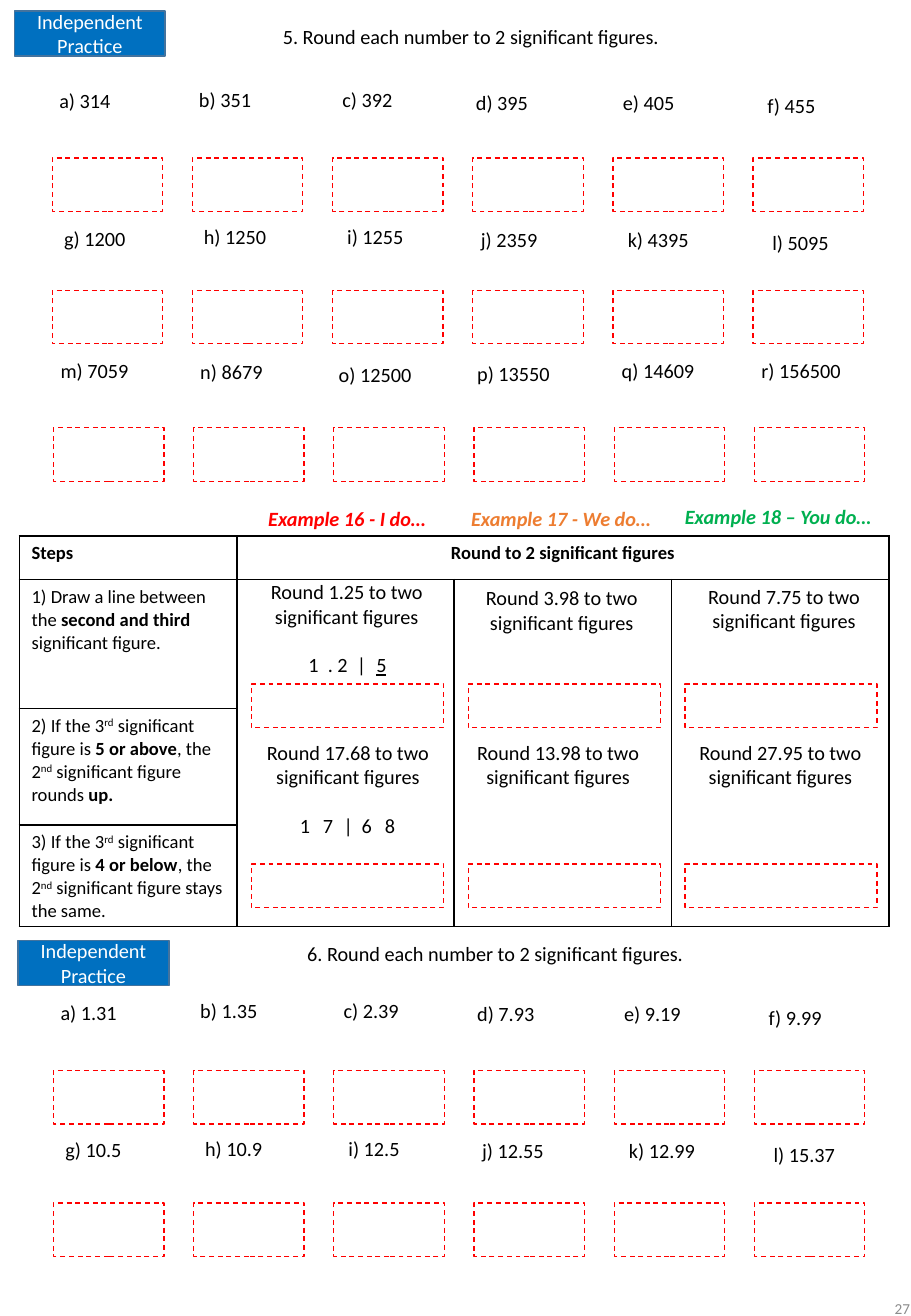
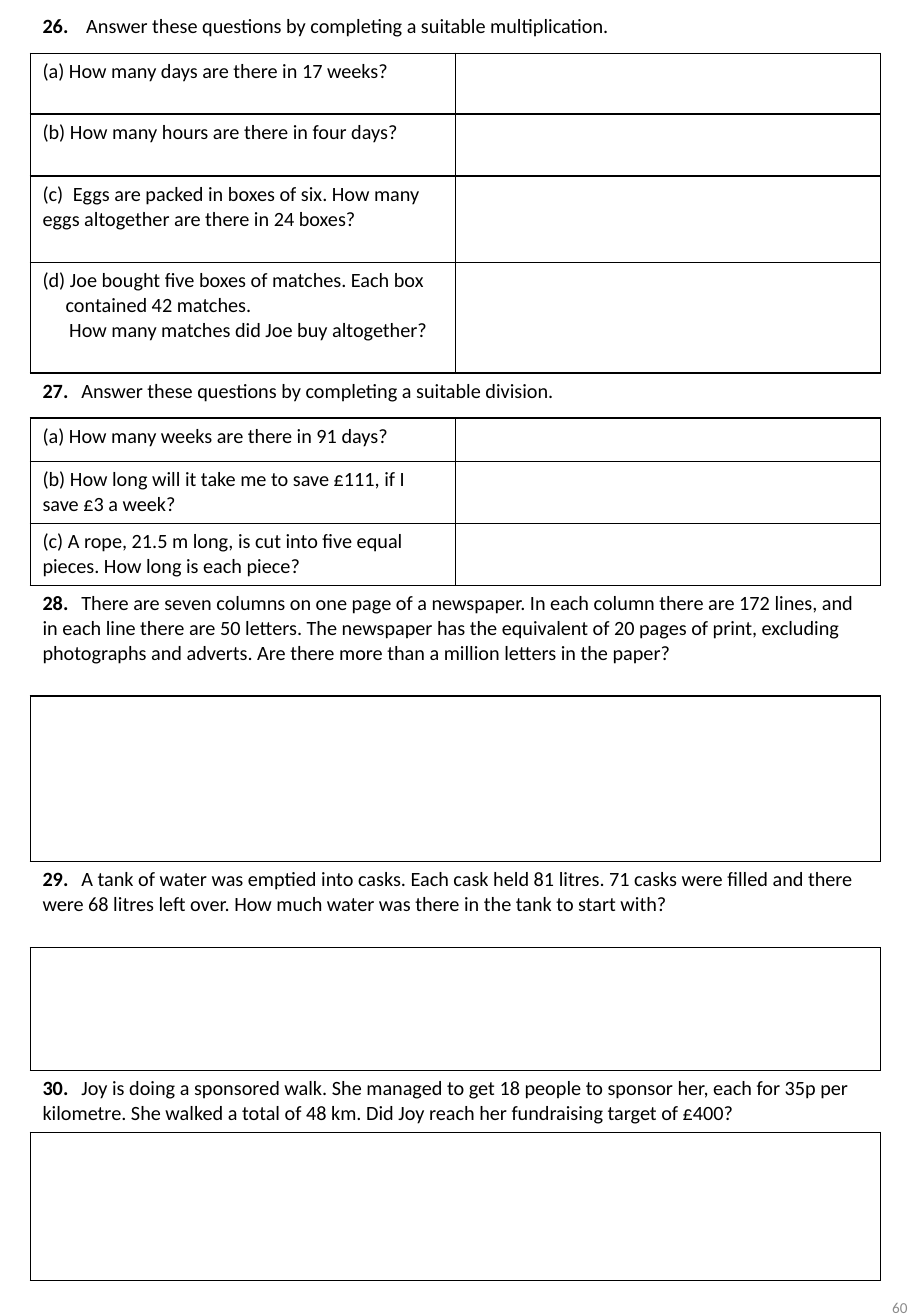
from lxml import etree
from pptx import Presentation
from pptx.dml.color import RGBColor
from pptx.enum.dml import MSO_LINE
from pptx.enum.shapes import MSO_SHAPE
from pptx.enum.text import MSO_ANCHOR, PP_ALIGN
from pptx.oxml.ns import qn
from pptx.util import Inches, Pt

LEFT, CENTER, RIGHT = PP_ALIGN.LEFT, PP_ALIGN.CENTER, PP_ALIGN.RIGHT
TOP, MIDDLE = MSO_ANCHOR.TOP, MSO_ANCHOR.MIDDLE
RECTANGLE, DASH = MSO_SHAPE.RECTANGLE, MSO_LINE.DASH

FONT = "Calibri"
COLORS = {
    "text": "000000", "paper": "FFFFFF", "answer": "FF0000", "badge": "0070C0",
    "badge_line": "43739E", "i_do": "FF0000", "we_do": "ED7D31", "you_do": "00B050",
    "page": "8C8C8C",
}

# Answer boxes stand six to a row at equal gaps
BOX_WIDTH, BOX_HEIGHT, BOX_PITCH = 0.91, 0.44, 5.77 / 5
# (left, drop) of each question label in a row
LABEL_SPOTS = [(0.39, 0.01), (1.54, 0), (2.72, 0), (3.82, 0.02), (5.03, 0.02), (6.22, 0.05)]
LONG_LABEL_SPOTS = [(0.4, 0), (1.55, 0.01), (2.69, 0.03), (3.83, 0.02), (5.02, 0), (6.17, 0)]

# Label spots, shift to the right, label top, box left, box top, questions
ROUND_WHOLE = [
    (LABEL_SPOTS, 0, 0.67, 0.43, 1.3,
     ["a) 314", "b) 351", "c) 392", "d) 395", "e) 405", "f) 455"]),
    (LABEL_SPOTS, 0.04, 1.8, 0.43, 2.39,
     ["g) 1200", "h) 1250", "i) 1255", "j) 2359", "k) 4395", "l) 5095"]),
    (LONG_LABEL_SPOTS, 0, 2.9, 0.44, 3.52,
     ["m) 7059", "n) 8679", "o) 12500", "p) 13550", "q) 14609", "r) 156500"]),
]
ROUND_DECIMAL = [
    (LABEL_SPOTS, 0.01, 8.17, 0.44, 8.81,
     ["a) 1.31", "b) 1.35", "c) 2.39", "d) 7.93", "e) 9.19", "f) 9.99"]),
    (LABEL_SPOTS, 0.05, 9.3, 0.44, 9.9,
     ["g) 10.5", "h) 10.9", "i) 12.5", "j) 12.55", "k) 12.99", "l) 15.37"]),
]

# Runs are (text, style): b bold, u underlined, sup superscript
STEPS = [
    [("1) Draw a line between the ", ""), ("second and third ", "b"),
     ("significant figure.", "")],
    [("2) If the 3", ""), ("rd", "sup"), (" significant figure is ", ""),
     ("5 or above", "b"), (", the 2", ""), ("nd", "sup"),
     (" significant figure rounds ", ""), ("up.", "b")],
    [("3) If the 3", ""), ("rd", "sup"), (" significant figure is ", ""),
     ("4 or below", "b"), (", the 2", ""), ("nd", "sup"),
     (" significant figure stays the same.", "")],
]
EXAMPLE_TITLES = [
    ("Example 16 - I do…", "i_do", 2.11, 4.12, 1.54),
    ("Example 17 - We do…", "we_do", 3.78, 4.12, 1.82),
    ("Example 18 – You do…", "you_do", 5.54, 4.1, 1.8),
]
# Number, left, top, width, height of each example
EXAMPLES = [
    ("1.25", 2.08, 4.72, 1.55, 1.51), ("17.68", 2, 6.04, 1.73, 1.51),
    ("3.98", 3.85, 4.77, 1.55, 0.91), ("13.98", 3.82, 6.04, 1.55, 1.11),
    ("7.75", 5.68, 4.76, 1.55, 1.11), ("27.95", 5.6, 6.04, 1.65, 1.11),
]
# Digits of the worked examples, with the tab stops that set them apart
WORKINGS = {
    "1.25": ([("\t1\t. 2\t|\t", ""), ("5", "u")], [0.36, 0.52, 0.76, 0.92]),
    "17.68": ([("\t1\t7\t|\t6\t8", "")], [0.37, 0.56, 0.73, 0.88, 1.07]),
}

# Row height and content: a numbered heading, a question with a cell for its
# answer, or an open answer space
HEADING, QUESTION, SPACE = "heading", "question", "space"
WORD_PROBLEMS = [
    (0.37, HEADING, ("26.", "Answer these questions by completing a suitable multiplication.")),
    (0.5, QUESTION, "(a) How many days are there in 17 weeks?"),
    (0.51, QUESTION, "(b) How many hours are there in four days?"),
    (0.71, QUESTION, "(c)\tEggs are packed in boxes of six. How many eggs altogether "
                     "are there in 24 boxes?"),
    (0.91, QUESTION, "(d) Joe bought five boxes of matches. Each box contained 42 matches."),
    (0.37, HEADING, ("27.", "Answer these questions by completing a suitable division.")),
    (0.36, QUESTION, "(a) How many weeks are there in 91 days?"),
    (0.51, QUESTION, "(b) How long will it take me to save £111, if I save £3 a week?"),
    (0.51, QUESTION, "(c) A rope, 21.5 m long, is cut into five equal pieces. "
                     "How long is each piece?"),
    (0.91, HEADING, ("28.", "There are seven columns on one page of a newspaper. In each "
                     "column there are 172 lines, and in each line there are 50 letters. "
                     "The newspaper has the equivalent of 20 pages of print, excluding "
                     "photographs and adverts. Are there more than a million letters in "
                     "the paper?")),
    (1.36, SPACE, None),
    (0.71, HEADING, ("29.", "A tank of water was emptied into casks. Each cask held 81 "
                     "litres. 71 casks were filled and there were 68 litres left over. "
                     "How much water was there in the tank to start with?")),
    (1.01, SPACE, None),
    (0.51, HEADING, ("30.", "Joy is doing a sponsored walk. She managed to get 18 people to "
                     "sponsor her, each for 35p per kilometre. She walked a total of 48 km. "
                     "Did Joy reach her fundraising target of £400?")),
    (1.22, SPACE, None),
]
JOE_ROW = 4
JOE_QUESTION = "How many matches did Joe buy altogether?"


def rgb(name):
    return RGBColor.from_string(COLORS[name])


def write(paragraph, content, size=12, color="text", align=LEFT, bold=None,
          italic=None, tabs=(), indent=0, hanging=0):
    """Fill a paragraph with a string or with (text, style) runs."""
    properties = paragraph._p.get_or_add_pPr()
    if indent:
        properties.set("marL", str(Inches(indent)))
        properties.set("indent", str(-Inches(hanging)))
    if tabs:
        tab_list = etree.SubElement(properties, qn("a:tabLst"))
        for stop in tabs:
            etree.SubElement(tab_list, qn("a:tab"), pos=str(Inches(stop)), algn="l")
    paragraph.alignment = align
    font = paragraph.font
    font.name, font.size, font.bold, font.italic = FONT, Pt(size), bold, italic
    font.color.rgb = rgb(color)
    for text, style in [(content, "")] if isinstance(content, str) else content:
        run = paragraph.add_run()
        run.text = text
        if style == "b":
            run.font.bold = True
        elif style == "u":
            run.font.underline = True
        elif style == "sup":
            run._r.get_or_add_rPr().set("baseline", "30000")


def add_text(slide, left, top, width, height, content, wrap=True, anchor=TOP, **style):
    box = slide.shapes.add_textbox(Inches(left), Inches(top), Inches(width), Inches(height))
    frame = box.text_frame
    frame.word_wrap = wrap
    frame.vertical_anchor = anchor
    write(frame.paragraphs[0], content, **style)
    return frame


def add_rectangle(slide, left, top, width, height, fill, line, weight):
    shape = slide.shapes.add_shape(
        RECTANGLE, Inches(left), Inches(top), Inches(width), Inches(height))
    shape.shadow.inherit = False
    shape.fill.solid()
    shape.fill.fore_color.rgb = rgb(fill)
    shape.line.color.rgb = rgb(line)
    shape.line.width = Pt(weight)
    return shape


def add_answer_box(slide, left, top, width, height):
    box = add_rectangle(slide, left, top, width, height, "paper", "answer", 0.75)
    box.line.dash_style = DASH


def add_badge(slide, left, top):
    badge = add_rectangle(slide, left, top, 1.24, 0.37, "badge", "badge_line", 1)
    frame = badge.text_frame
    frame.word_wrap = True
    frame.vertical_anchor = MIDDLE
    write(frame.paragraphs[0], "Independent Practice", color="paper", align=CENTER)


def add_page_number(slide, left, top, number):
    add_text(slide, left, top, 1.69, 0.58, number, anchor=MIDDLE,
             size=9, color="page", align=RIGHT)


def add_practice(slide, title, title_left, title_top, rows):
    """Title above rows of question labels and their answer boxes."""
    add_text(slide, title_left, title_top, 3.38, 0.3, title, wrap=False)
    for spots, shift, label_top, box_left, box_top, questions in rows:
        for column, (question, (left, drop)) in enumerate(zip(questions, spots)):
            add_text(slide, left + shift, label_top + drop, 0.25 + 0.08 * len(question),
                     0.3, question)
            add_answer_box(slide, box_left + column * BOX_PITCH, box_top,
                           BOX_WIDTH, BOX_HEIGHT)


def add_grid(slide, left, top, widths, heights):
    """Table without the banded style."""
    table = slide.shapes.add_table(
        len(heights), len(widths), Inches(left), Inches(top),
        Inches(sum(widths)), Inches(sum(heights))).table
    table.first_row = table.horz_banding = False
    for column, width in zip(table.columns, widths):
        column.width = Inches(width)
    for row, height in zip(table.rows, heights):
        row.height = Inches(height)
    return table


def finish_cell(cell, sides="LRTB", fill=None):
    """Rule the given sides, fill the cell and let an empty cell stay low."""
    properties = cell._tc.get_or_add_tcPr()
    for side in "LRTB":
        line = etree.SubElement(properties, qn(f"a:ln{side}"), w=str(Pt(1)))
        if side in sides:
            solid = etree.SubElement(line, qn("a:solidFill"))
            etree.SubElement(solid, qn("a:srgbClr"), val=COLORS["text"])
        else:
            etree.SubElement(line, qn("a:noFill"))
    if fill:
        cell.fill.solid()
        cell.fill.fore_color.rgb = rgb(fill)
    else:
        cell.fill.background()
    if not cell.text_frame.text:
        cell.margin_top = cell.margin_bottom = 0


def add_steps_table(slide):
    table = add_grid(slide, 0.16, 4.41, [1.79] * 4, [0.36, 1.06, 0.96, 0.82])
    table.cell(0, 1).merge(table.cell(0, 3))
    for column in range(1, 4):
        table.cell(1, column).merge(table.cell(3, column))
    write(table.cell(0, 0).text_frame.paragraphs[0], "Steps", size=11, bold=True)
    write(table.cell(0, 1).text_frame.paragraphs[0], "Round to 2 significant figures",
          size=11, bold=True, align=CENTER)
    for row, step in enumerate(STEPS, 1):
        write(table.cell(row, 0).text_frame.paragraphs[0], step, size=11)
    for cell in table.iter_cells():
        finish_cell(cell, fill="paper")


def add_examples(slide):
    for title, color, left, top, width in EXAMPLE_TITLES:
        add_text(slide, left, top, width, 0.3, title, color=color, bold=True, italic=True)
    for column in range(3):
        for top in (5.63, 7.11):
            add_answer_box(slide, 2.07 + column * 3.57 / 2, top, 1.58, 0.36)
    for number, left, top, width, height in EXAMPLES:
        frame = add_text(slide, left, top, width, height,
                         f"Round {number} to two significant figures", align=CENTER)
        if number in WORKINGS:
            digits, stops = WORKINGS[number]
            working = frame.add_paragraph()
            working.space_before = Pt(14.4)
            write(working, digits, tabs=stops)


def add_word_problems(slide):
    table = add_grid(slide, 0.25, 0.07, [3.5, 3.5], [row[0] for row in WORD_PROBLEMS])
    for row, (_, kind, content) in enumerate(WORD_PROBLEMS):
        cell = table.cell(row, 0)
        paragraph = cell.text_frame.paragraphs[0]
        sides = "LRTB"
        if kind != QUESTION:
            cell.merge(table.cell(row, 1))
        if kind == HEADING:
            number, text = content
            write(paragraph, [(number, "b"), ("\t" + text, "")],
                  tabs=[0.32 if row else 0.36])
            sides = "TB" if row else "B"
        elif row == JOE_ROW:
            write(paragraph, content, indent=0.19, hanging=0.19)
            write(cell.text_frame.add_paragraph(), JOE_QUESTION, indent=0.22)
        elif kind == QUESTION:
            write(paragraph, content, tabs=[0.25] if "\t" in content else ())
        for column in range(2):
            finish_cell(table.cell(row, column), sides)


def main():
    deck = Presentation()
    deck.slide_width, deck.slide_height = Inches(7.5), Inches(10.83)
    blank = deck.slide_layouts[6]

    rounding = deck.slides.add_slide(blank)
    add_practice(rounding, "5. Round each number to 2 significant figures.",
                 2.23, 0.15, ROUND_WHOLE)
    add_steps_table(rounding)
    add_examples(rounding)
    add_practice(rounding, "6. Round each number to 2 significant figures.",
                 2.43, 7.7, ROUND_DECIMAL)
    add_page_number(rounding, 5.9, 10.48, "27")
    add_badge(rounding, 0.12, 0.09)
    add_badge(rounding, 0.15, 7.74)

    problems = deck.slides.add_slide(blank)
    add_page_number(problems, 5.88, 10.47, "60")
    add_word_problems(problems)
    deck.save("out.pptx")


if __name__ == "__main__":
    main()
